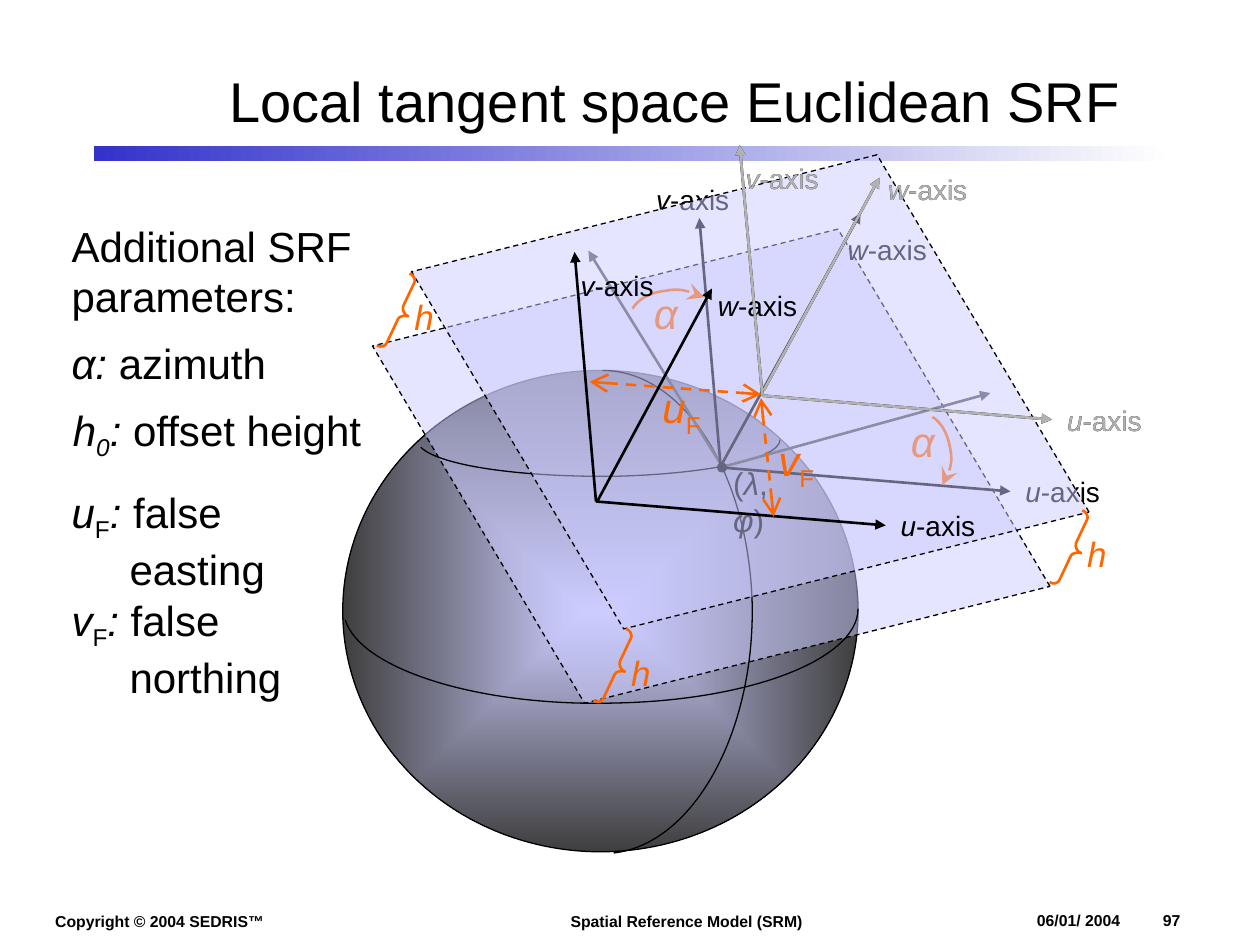
from dataclasses import dataclass

from lxml import etree
from pptx import Presentation
from pptx.dml.color import RGBColor
from pptx.enum.dml import MSO_LINE
from pptx.enum.shapes import MSO_CONNECTOR, MSO_SHAPE
from pptx.enum.text import MSO_ANCHOR, MSO_AUTO_SIZE, PP_ALIGN
from pptx.oxml.ns import qn
from pptx.util import Inches, Pt

DASH = MSO_LINE.DASH
STRAIGHT = MSO_CONNECTOR.STRAIGHT
TOP, MIDDLE, BOTTOM = MSO_ANCHOR.TOP, MSO_ANCHOR.MIDDLE, MSO_ANCHOR.BOTTOM
FIT, FIXED = MSO_AUTO_SIZE.SHAPE_TO_FIT_TEXT, MSO_AUTO_SIZE.NONE
LEFT, CENTER = PP_ALIGN.LEFT, PP_ALIGN.CENTER
OVAL, RECTANGLE, PARALLELOGRAM = MSO_SHAPE.OVAL, MSO_SHAPE.RECTANGLE, MSO_SHAPE.PARALLELOGRAM


@dataclass(frozen=True)
class Theme:
    font: str = "Arial"
    ink: str = "000000"
    accent: str = "FF6600"
    ghost: str = "B2B2B2"
    dark: str = "4D4D4D"
    plane: str = "CCCCFF"
    shade: str = "3F3F3F"
    bar: tuple = ("FEFEFE", "3333CC")
    title: int = 32
    body: int = 24
    point: int = 18
    height: int = 20
    axis: int = 16
    footer: int = 9
    thin: float = 0.75
    thick: float = 1.5


THEME = Theme()
TITLE = "Local tangent space Euclidean SRF"
HANG = 0.46
FOOTERS = [
    ((0.34, 7.19, 2, 0.25), "Copyright © 2004 SEDRIS™", {"wrap": True}),
    ((4.43, 7.19, 2.2, 0.25), "Spatial Reference Model (SRM)", {"wrap": True}),
    ((8.23, 7.23, 1.44, 0.15), "06/01/ 2004\t\t97",
     {"wrap": True, "anchor": BOTTOM, "inset": 0, "tabs": [(0.75, "r"), (1, "l")]}),
]
PARAMETERS = [
    ((0.47, 1.7, 2.42, 0.9), [[("Additional SRF", "")], [("parameters:", "")]], ()),
    ((0.47, 2.63, 1.76, 0.5), [[("α:", "i"), (" azimuth", "")]], ()),
    ((0.48, 3.16, 2.49, 0.56),
     [[("h", "i"), ("0", "i sub"), (":", "i"), (" offset height", "")]], ()),
    ((0.47, 3.81, 1.87, 1.81),
     [[("u", "i"), ("F", "sub"), (":", "i"), (" false", "")], [("easting", "")],
      [("v", "i"), ("F", "sub"), (":", "i"), (" false", "")], [("northing", "")]], (1, 3)),
]
SPHERE_ARCS = [
    ((4.78, 2.94), [[(5.42, 2.94), (5.94, 3.75), (5.97, 4.79)],
                    [(5.99, 5.82), (5.5, 6.7), (4.87, 6.77)]]),
    ((6.81, 4.83), [[(6.81, 5.23), (5.96, 5.56), (4.88, 5.58)],
                    [(3.8, 5.61), (2.86, 5.31), (2.74, 4.92)]]),
    ((6.19, 3.49), [[(6.19, 3.64), (5.63, 3.76), (4.9, 3.78)],
                    [(4.16, 3.79), (3.49, 3.7), (3.34, 3.55)]]),
]
AZIMUTHS = [
    ((5.59, 2.36), [[(5.5, 2.31), (5.38, 2.29), (5.27, 2.31)],
                    [(5.16, 2.32), (5.06, 2.38), (5.02, 2.45)]], (5.09, 2.23)),
    ((7.48, 3.85), [[(7.54, 3.77), (7.56, 3.66), (7.54, 3.55)],
                    [(7.52, 3.44), (7.47, 3.35), (7.4, 3.31)]], (7.13, 3.25)),
]
BRACE = [[(0.03, 0.01), (0.05, 0.05), (0.04, 0.07)], [(-0.05, 0.26)],
         [(-0.06, 0.29), (-0.04, 0.33), (-0.01, 0.34)],
         [(-0.04, 0.33), (-0.08, 0.34), (-0.09, 0.36)], [(-0.18, 0.55)],
         [(-0.19, 0.58), (-0.23, 0.59), (-0.26, 0.57)]]
BRACE_TOPS = [(8.59, 4.05), (3.25, 2.17), (4.97, 4.99)]
MERIDIANS = [((5.72, 3.71), (7.86, 3.12)), ((5.73, 3.7), (4.67, 1.99))]
OFFSETS = [((6.14, 4.1), (6.04, 3.16), "v", (6.08, 3.4)),
           ((4.68, 3.03), (6.04, 3.13), "u", (5.16, 2.98))]
AXIS_WIDTHS = {"u": 0.79, "v": 0.78, "w": 0.83}
U_AXIS = ((0, 0), (2.3, 0.19), (2.32, 0.01))
TANGENT = ((5.72, 3.71), {"w": ((0, -0.01), (1.11, -2.02), (0.91, -1.91)), "u": U_AXIS,
                          "v": ((0, 0), (-0.17, -1.98), (-0.61, -2.31))})
RAISED = ((6.05, 3.14), {"w": ((0.01, -0.04), (0.93, -1.73), (0.9, -1.82)), "u": U_AXIS,
                         "v": ((0, 0), (-0.18, -1.99), (-0.23, -1.91))})
SHIFTED = ((4.73, 3.98), {"w": ((0.01, 0), (0.92, -1.69), (0.87, -1.74)), "u": U_AXIS,
                          "v": ((0, 0), (-0.17, -1.98), (-0.22, -1.9))})

deck = Presentation()
deck.slide_width, deck.slide_height = Inches(10), Inches(7.5)
page = deck.slides.add_slide(deck.slide_layouts[5])
shapes = page.shapes


def color(value):
    return RGBColor.from_string(value)


def shift(point, step):
    return point[0] + step[0], point[1] + step[1]


def write(box, lines, size, ink=THEME.ink, bold=False, wrap=False, anchor=TOP,
          inset=0.1, align=LEFT, fit=FIT, tabs=(), hanging=()):
    frame = box.text_frame
    frame.auto_size, frame.word_wrap, frame.vertical_anchor = fit, wrap, anchor
    frame.margin_left = frame.margin_right = Inches(inset)
    frame.margin_top = frame.margin_bottom = Inches(inset / 2)
    for index, line in enumerate(lines):
        para = frame.paragraphs[0] if index == 0 else frame.add_paragraph()
        para.alignment = align
        properties = para._p.get_or_add_pPr()
        if index in hanging:
            properties.set("marL", str(Inches(HANG)))
        if tabs:
            stops = etree.SubElement(properties, qn("a:tabLst"))
            for position, side in tabs:
                etree.SubElement(stops, qn("a:tab"), pos=str(Inches(position)), algn=side)
        for text, style in line:
            span = para.add_run()
            span.text = text
            span.font.name, span.font.size = THEME.font, Pt(size)
            span.font.color.rgb = color(ink)
            span.font.bold, span.font.italic = bold, "i" in style.split()
            if "sub" in style:
                span.font._element.set("baseline", "-25000")


def add_text(area, lines, size, **form):
    write(shapes.add_textbox(*map(Inches, area)), lines, size, **form)


def outline(shape, ink, width, dash=None, head=None, tail=None, tip="med"):
    shape.line.color.rgb, shape.line.width = color(ink), Pt(width)
    if dash:
        shape.line.dash_style = dash
    line = shape.element.spPr.find(qn("a:ln"))
    for tag, kind in (("a:headEnd", head), ("a:tailEnd", tail)):
        if kind:
            etree.SubElement(line, qn(tag), type=kind, w=tip, len=tip)


def add_line(start, end, ink, **form):
    line = shapes.add_connector(STRAIGHT, *map(Inches, (*start, *end)))
    outline(line, ink, THEME.thick, **form)
    etree.SubElement(line.element.spPr, qn("a:effectLst"))


def add_curve(start, segments, ink, width, **form):
    builder = shapes.build_freeform(*map(Inches, start), scale=1.0)
    points = [tuple(map(Inches, point)) for segment in segments for point in segment]
    builder.add_line_segments(points, close=False)
    curve = builder.convert_to_shape()
    steps = iter(list(curve.element.iter(qn("a:lnTo"))))
    for segment in segments:
        first, *others = [next(steps) for point in segment]
        if others:
            bezier = etree.Element(qn("a:cubicBezTo"))
            first.addprevious(bezier)
            for step in (first, *others):
                bezier.append(step[0])
                step.getparent().remove(step)
    curve.fill.background()
    curve.shadow.inherit = False
    outline(curve, ink, width, **form)


def add_preset(kind, area, fill=None, gradient=None):
    shape = shapes.add_shape(kind, *map(Inches, area))
    shape.shadow.inherit = False
    shape.line.fill.background()
    if gradient:
        shape.fill.gradient()
        shape.fill.gradient_angle = 180
        for stop, value in zip(shape.fill.gradient_stops, gradient):
            stop.color.rgb = color(value)
    else:
        shape.fill.solid()
        shape.fill.fore_color.rgb = color(fill)
    return shape


def add_plane(left, top):
    plane = add_preset(PARALLELOGRAM, (left, top, 4.75, 3.16), THEME.plane)
    plane.adjustments[0], plane.rotation = 0.298, 345.9
    properties = plane.element.spPr
    properties.find(qn("a:xfrm")).set("flipH", "1")
    fill = properties.find(f"{qn('a:solidFill')}/{qn('a:srgbClr')}")
    etree.SubElement(fill, qn("a:alpha"), val="50000")
    outline(plane, THEME.ink, THEME.thin, dash=DASH)


def add_axes(frame, ink=THEME.ink):
    origin, axes = frame
    for name, (base, tip, label) in axes.items():
        add_line(shift(origin, base), shift(origin, tip), ink, tail="triangle")
        add_text((*shift(origin, label), AXIS_WIDTHS[name], 0.37),
                 [[(name, "i"), ("-axis", "")]], THEME.axis, ink=ink)


title = shapes.title
title.left, title.top, title.width, title.height = map(Inches, (1.21, 0.25, 8.3, 1.09))
write(title, [[(TITLE, "")]], THEME.title, wrap=True, anchor=MIDDLE, align=CENTER, fit=FIXED)
for area, text, form in FOOTERS:
    add_text(area, [[(text, "")]], THEME.footer, bold=True, **form)
add_preset(RECTANGLE, (0.75, 1.16, 8.5, 0.12), gradient=THEME.bar)

sphere = add_preset(OVAL, (2.72, 2.94, 4.09, 3.82), gradient=(THEME.plane, THEME.shade))
gradient = sphere.element.spPr.find(qn("a:gradFill"))
linear = gradient.find(qn("a:lin"))
radial = etree.Element(qn("a:path"), {"path": "rect"})
etree.SubElement(radial, qn("a:fillToRect"), dict.fromkeys("ltrb", "50000"))
gradient.replace(linear, radial)
outline(sphere, THEME.ink, THEME.thin)

add_plane(3.27, 2.12)
for start, segments in SPHERE_ARCS:
    add_curve(start, segments, THEME.ink, THEME.thin)
for start, end in MERIDIANS:
    add_line(start, end, THEME.dark, tail="triangle")
add_preset(OVAL, (5.69, 3.67, 0.08, 0.08), THEME.ink)
add_text((5.72, 3.63, 0.72, 0.4), [[("(", ""), ("λ", "i"), (", ", ""), ("φ", "i"), (")", "")]],
         THEME.point, wrap=True, fit=FIXED)
add_axes(TANGENT)
for start, segments, label in AZIMUTHS:
    add_curve(start, segments, THEME.accent, THEME.thick, head="stealth", tip="lg")
    add_text((*label, 0.41, 0.5), [[("α", "i")]], THEME.body, ink=THEME.accent)
for area, lines, hanging in PARAMETERS:
    add_text(area, lines, THEME.body, hanging=hanging)

add_plane(3.58, 1.53)
for top in BRACE_TOPS:
    segments = [[shift(top, step) for step in segment] for segment in BRACE]
    add_curve(top, segments, THEME.accent, THEME.thick)
    add_text((*shift(top, (-0.06, 0.13)), 0.35, 0.44), [[("h", "i")]],
             THEME.height, ink=THEME.accent)
add_axes(RAISED)
add_axes(SHIFTED)
for start, end, name, label in OFFSETS:
    add_line(start, end, THEME.accent, dash=DASH, head="arrow", tail="arrow", tip="lg")
    add_text((*label, 0.5, 0.56), [[(name, "i"), ("F", "sub")]], THEME.body, ink=THEME.accent)
add_axes(RAISED, THEME.ghost)

deck.save("out.pptx")
